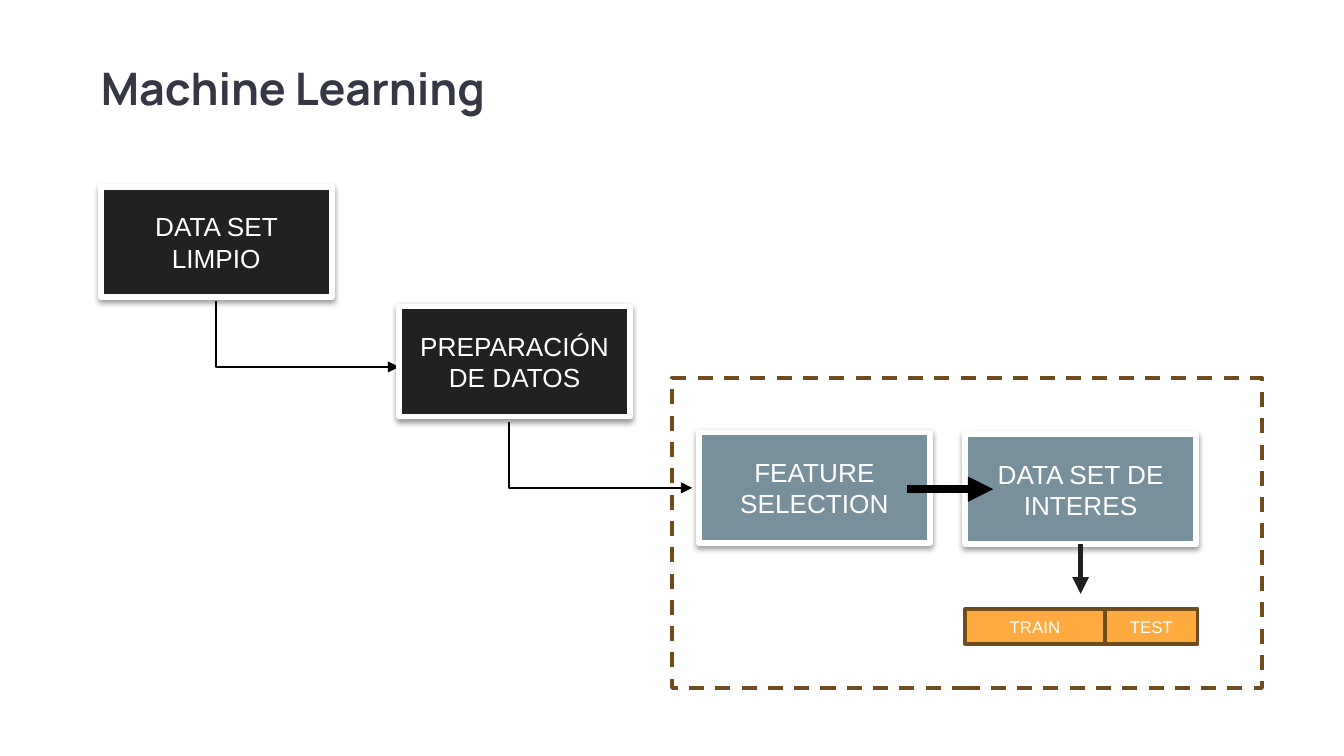
import pptx
import pptx.dml.color
import pptx.enum.dml
import pptx.enum.shapes
import pptx.enum.text
import pptx.oxml
import pptx.oxml.ns
import pptx.util

Pt = pptx.util.Pt
RGBColor = pptx.dml.color.RGBColor
qn = pptx.oxml.ns.qn
CONNECTOR = pptx.enum.shapes.MSO_CONNECTOR

BLACK = RGBColor(0x00, 0x00, 0x00)
WHITE = RGBColor(0xFF, 0xFF, 0xFF)
CHARCOAL = RGBColor(0x21, 0x21, 0x21)
ARROW_GREY = RGBColor(0x20, 0x20, 0x20)
SLATE = RGBColor(0x78, 0x90, 0x9C)
ORANGE = RGBColor(0xFF, 0xAB, 0x40)
BROWN = RGBColor(0x70, 0x4B, 0x1C)
TITLE_INK = RGBColor(0x35, 0x37, 0x44)

BOX_WIDTH, BOX_HEIGHT = 123.8, 59
ELBOW_WIDTH, ELBOW_HEIGHT = 97.9, 35.3

NAMESPACE = pptx.oxml.ns.nsdecls("a")
SHADOW_XML = (
    f'<a:outerShdw {NAMESPACE} blurRad="{Pt(3.1)}" dist="{Pt(1.6)}" dir="5400000" '
    'algn="bl" rotWithShape="0"><a:srgbClr val="000000"><a:alpha val="38000"/>'
    '</a:srgbClr></a:outerShdw>'
)


def format_text(frame, text, font, color, alignment):
    frame.text = text
    paragraph = frame.paragraphs[0]
    paragraph.alignment = alignment
    run_font = paragraph.runs[0].font
    for name, value in font.items():
        setattr(run_font, name, value)
    run_font.color.rgb = color
    return paragraph


def add_title(slide, text):
    title = slide.shapes.title
    place = {"left": Pt(54), "top": Pt(36), "width": Pt(535.7), "height": Pt(31)}
    for name, value in place.items():
        setattr(title, name, value)
    frame = title.text_frame
    settings = {
        "margin_left": 0, "margin_top": 0, "margin_right": 0, "margin_bottom": 0,
        "vertical_anchor": pptx.enum.text.MSO_ANCHOR.TOP, "word_wrap": True,
        "auto_size": pptx.enum.text.MSO_AUTO_SIZE.NONE,
    }
    for name, value in settings.items():
        setattr(frame, name, value)
    font = {"name": "Manrope", "size": Pt(24), "bold": True}
    paragraph = format_text(frame, text, font, TITLE_INK, pptx.enum.text.PP_ALIGN.LEFT)
    paragraph.line_spacing = 0.9


def add_rectangle(slide, left, top, width, height, fill, line, line_width):
    shape = slide.shapes.add_shape(
        pptx.enum.shapes.MSO_SHAPE.RECTANGLE, Pt(left), Pt(top), Pt(width), Pt(height))
    if fill is None:
        shape.fill.background()
    else:
        shape.fill.solid()
        shape.fill.fore_color.rgb = fill
    shape.line.color.rgb = line
    shape.line.width = Pt(line_width)
    shape.shadow.inherit = False
    return shape


def add_label(shape, text, size):
    frame = shape.text_frame
    frame.word_wrap = True
    frame.vertical_anchor = pptx.enum.text.MSO_ANCHOR.MIDDLE
    font = {"name": "Arial", "size": Pt(size)}
    format_text(frame, text, font, WHITE, pptx.enum.text.PP_ALIGN.CENTER)


def add_step(slide, left, top, text, fill):
    shape = add_rectangle(slide, left, top, BOX_WIDTH, BOX_HEIGHT, fill, WHITE, 3)
    effects = shape._element.spPr.find(qn("a:effectLst"))
    effects.append(pptx.oxml.parse_xml(SHADOW_XML))
    add_label(shape, text, 14)
    return shape


def add_split_part(slide, left, width, text):
    shape = add_rectangle(slide, left, 326.2, width, 18.7, ORANGE, BROWN, 2)
    add_label(shape, text, 9)


def add_arrow(slide, kind, begin, end, color, width):
    connector = slide.shapes.add_connector(
        kind, Pt(begin[0]), Pt(begin[1]), Pt(end[0]), Pt(end[1]))
    connector.line.color.rgb = color
    connector.line.width = Pt(width)
    properties = connector._element.spPr
    line = properties.find(qn("a:ln"))
    line.append(pptx.oxml.parse_xml(f'<a:tailEnd {NAMESPACE} type="triangle"/>'))
    properties.append(pptx.oxml.parse_xml(f"<a:effectLst {NAMESPACE}/>"))
    return connector


def add_elbow_arrow(slide, left, top):
    """Go down, then right, with a quarter-turned two-segment connector."""
    center_x, center_y = left + ELBOW_WIDTH / 2, top + ELBOW_HEIGHT / 2
    begin = (center_x + ELBOW_HEIGHT / 2, center_y - ELBOW_WIDTH / 2)
    end = (center_x - ELBOW_HEIGHT / 2, center_y + ELBOW_WIDTH / 2)
    connector = add_arrow(slide, CONNECTOR.ELBOW, begin, end, BLACK, 1)
    properties = connector._element.spPr
    properties.find(qn("a:xfrm")).set("rot", "16200000")
    properties.find(qn("a:prstGeom")).set("prst", "bentConnector2")


def main():
    presentation = pptx.Presentation()
    presentation.slide_width = Pt(720)
    presentation.slide_height = Pt(405)
    slide = presentation.slides.add_slide(presentation.slide_layouts[5])
    add_title(slide, "Machine Learning")

    # Preparation steps, each leading down to the next
    add_step(slide, 54, 100.1, "DATA SET LIMPIO", CHARCOAL)
    add_elbow_arrow(slide, 115.9, 161.3)
    add_step(slide, 213.8, 164.2, "PREPARACIÓN DE DATOS", CHARCOAL)
    add_elbow_arrow(slide, 272.9, 226.1)

    # Data set of interest and its split
    interest = add_step(slide, 517, 232.6, "DATA SET DE INTERES", SLATE)
    add_split_part(slide, 517, 74.9, "TRAIN")
    add_split_part(slide, 591.9, 49.7, "TEST")
    split_arrow = add_arrow(
        slide, CONNECTOR.STRAIGHT, (578.9, 291.6), (578.9, 318.2), ARROW_GREY, 3)
    split_arrow.begin_connect(interest, 2)

    # Feature selection
    add_step(slide, 374.4, 231.8, "FEATURE SELECTION", SLATE)
    add_arrow(slide, CONNECTOR.STRAIGHT, (486, 262.1), (532.1, 262.1), BLACK, 4.5)

    # Dashed frame around the selection stage
    frame = add_rectangle(slide, 360, 202.3, 316.1, 166.3, None, BROWN, 2)
    frame.line.dash_style = pptx.enum.dml.MSO_LINE.DASH

    presentation.save("out.pptx")


if __name__ == "__main__":
    main()
